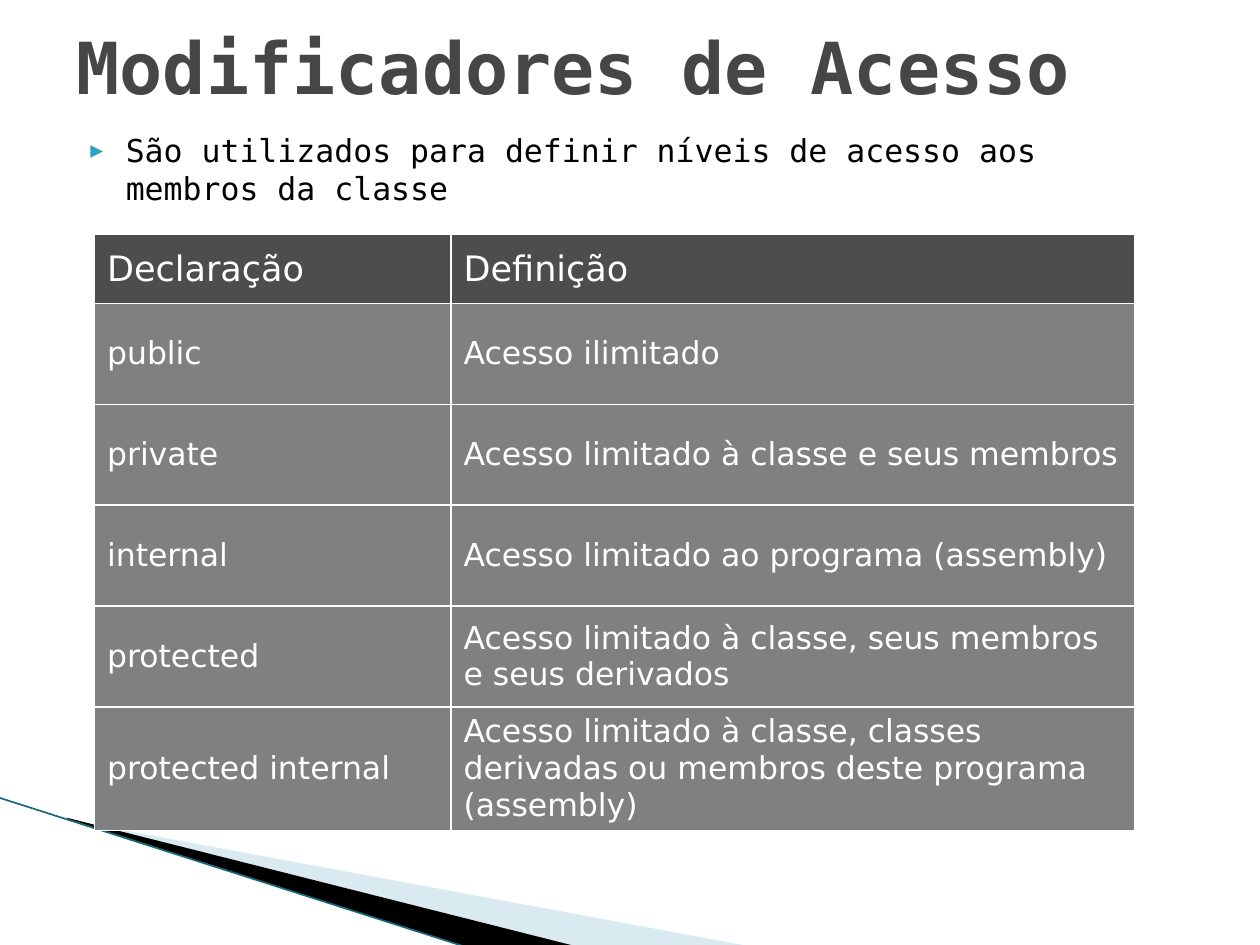
from dataclasses import dataclass

import pptx
import pptx.dml.color
import pptx.enum.shapes
import pptx.enum.text
import pptx.oxml
import pptx.oxml.ns
import pptx.util
from lxml import etree

Inches = pptx.util.Inches
qn = pptx.oxml.ns.qn


@dataclass(frozen=True)
class Theme:
    title: str = "464646"
    body: str = "000000"
    bullet: str = "2DA2BF"
    header_fill: str = "4D4D4D"
    row_fill: str = "808080"
    light: str = "FFFFFF"
    pale_wedge: str = "A0CBDC"
    dark_wedge: str = "000000"
    edge: str = "16697A"
    mono: str = "DejaVu Sans Mono"
    sans: str = "DejaVu Sans"
    title_size: int = 41
    header_size: int = 20
    text_size: int = 18


THEME = Theme()

MODIFIERS = [
    ("Declaração", "Definição"),
    ("public", "Acesso ilimitado"),
    ("private", "Acesso limitado à classe e seus membros"),
    ("internal", "Acesso limitado ao programa (assembly)"),
    ("protected", "Acesso limitado à classe, seus membros e seus derivados"),
    ("protected internal",
     "Acesso limitado à classe, classes derivadas ou membros deste programa (assembly)"),
]


def rgb(color):
    return pptx.dml.color.RGBColor.from_string(color)


def add_run(paragraph, text, font, size, color, bold=False):
    run = paragraph.add_run()
    run.text = text
    run.font.name = font
    run.font.size = pptx.util.Pt(size)
    run.font.color.rgb = rgb(color)
    run.font.bold = bold


def add_text_frame(slide, left, top, width, height):
    frame = slide.shapes.add_textbox(
        Inches(left), Inches(top), Inches(width), Inches(height)).text_frame
    frame.word_wrap = True
    return frame


def add_wedge(slide, left, top, corners, color, opacity=100):
    points = [(Inches(left + x), Inches(top + y)) for x, y in corners]
    builder = slide.shapes.build_freeform(*points[0])
    builder.add_line_segments(points[1:], close=True)
    wedge = builder.convert_to_shape()
    wedge.shadow.inherit = False
    wedge.line.fill.background()
    wedge.fill.solid()
    wedge.fill.fore_color.rgb = rgb(color)
    if opacity < 100:
        tint = wedge.fill._xPr.find(qn("a:solidFill"))[0]
        etree.SubElement(tint, qn("a:alpha"), val=str(opacity * 1000))


def add_corner_decoration(slide, left, top):
    # Two overlapping wedges and the thin edge line
    add_wedge(slide, left + 0.55, top + 0.17,
              [(0, 0.01), (5.4, 1.01), (4.01, 1.01), (0, 0)], THEME.pale_wedge, 40)
    add_wedge(slide, left + 0.53, top + 0.16,
              [(0, 0), (4.04, 1.02), (3.19, 1.03), (0.01, 0.01)], THEME.dark_wedge)
    edge = slide.shapes.add_connector(
        pptx.enum.shapes.MSO_CONNECTOR.STRAIGHT,
        Inches(left - 0.01), Inches(top),
        Inches(left + 3.71), Inches(top + 1.19))
    edge.line.color.rgb = rgb(THEME.edge)
    edge.line.width = pptx.util.Pt(0.95)
    etree.SubElement(edge._element.spPr, qn("a:effectLst"))


def add_title(slide, left, top, width, height):
    frame = add_text_frame(slide, left, top, width, height)
    frame.vertical_anchor = pptx.enum.text.MSO_ANCHOR.MIDDLE
    add_run(frame.paragraphs[0], "Modificadores de Acesso",
            THEME.mono, THEME.title_size, THEME.title, bold=True)


def add_summary(slide, left, top, width, height):
    paragraph = add_text_frame(slide, left, top, width, height).paragraphs[0]
    # Hanging triangle bullet
    properties = paragraph._p.get_or_add_pPr()
    properties.set("marL", str(Inches(0.4)))
    properties.set("indent", str(Inches(-0.28)))
    bullet_color = etree.SubElement(properties, qn("a:buClr"))
    etree.SubElement(bullet_color, qn("a:srgbClr"), val=THEME.bullet)
    etree.SubElement(properties, qn("a:buSzPct"), val="68000")
    etree.SubElement(properties, qn("a:buFont"), typeface=THEME.mono)
    etree.SubElement(properties, qn("a:buChar"), char="▶")
    add_run(paragraph, "São utilizados para definir níveis de acesso aos membros da classe",
            THEME.mono, THEME.text_size, THEME.body)


def add_cell_borders(cell):
    properties = cell._tc.get_or_add_tcPr()
    for side in ("L", "R", "T", "B"):
        border = etree.SubElement(properties, qn(f"a:ln{side}"), w=str(pptx.util.Pt(1)))
        fill = etree.SubElement(border, qn("a:solidFill"))
        etree.SubElement(fill, qn("a:srgbClr"), val=THEME.light)


def add_modifier_table(slide, left, top, width, height):
    column_widths = (2.83, width - 2.83)
    header_height = 0.55
    row_height = (height - header_height) / (len(MODIFIERS) - 1)
    table = slide.shapes.add_table(
        len(MODIFIERS), len(column_widths),
        Inches(left), Inches(top), Inches(width), Inches(height)).table
    for column, column_width in zip(table.columns, column_widths):
        column.width = Inches(column_width)
    for index, entries in enumerate(MODIFIERS):
        is_header = index == 0
        table.rows[index].height = Inches(header_height if is_header else row_height)
        for cell, text in zip(table.rows[index].cells, entries):
            add_cell_borders(cell)
            cell.fill.solid()
            cell.fill.fore_color.rgb = rgb(
                THEME.header_fill if is_header else THEME.row_fill)
            cell.vertical_anchor = pptx.enum.text.MSO_ANCHOR.MIDDLE
            cell.margin_top = cell.margin_bottom = Inches(0.04)
            add_run(cell.text_frame.paragraphs[0], text, THEME.sans,
                    THEME.header_size if is_header else THEME.text_size, THEME.light)


def main():
    presentation = pptx.Presentation()
    presentation.slide_width = Inches(10)
    presentation.slide_height = Inches(7.5)
    slide = presentation.slides.add_slide(presentation.slide_layouts[6])

    add_corner_decoration(slide, 0, 6.33)
    add_title(slide, 0.51, 0.13, 9, 0.79)
    add_summary(slide, 0.5, 0.99, 8.67, 5.91)
    add_modifier_table(slide, 0.75, 1.86, 8.26, 4.55)

    presentation.save("out.pptx")


if __name__ == "__main__":
    main()
